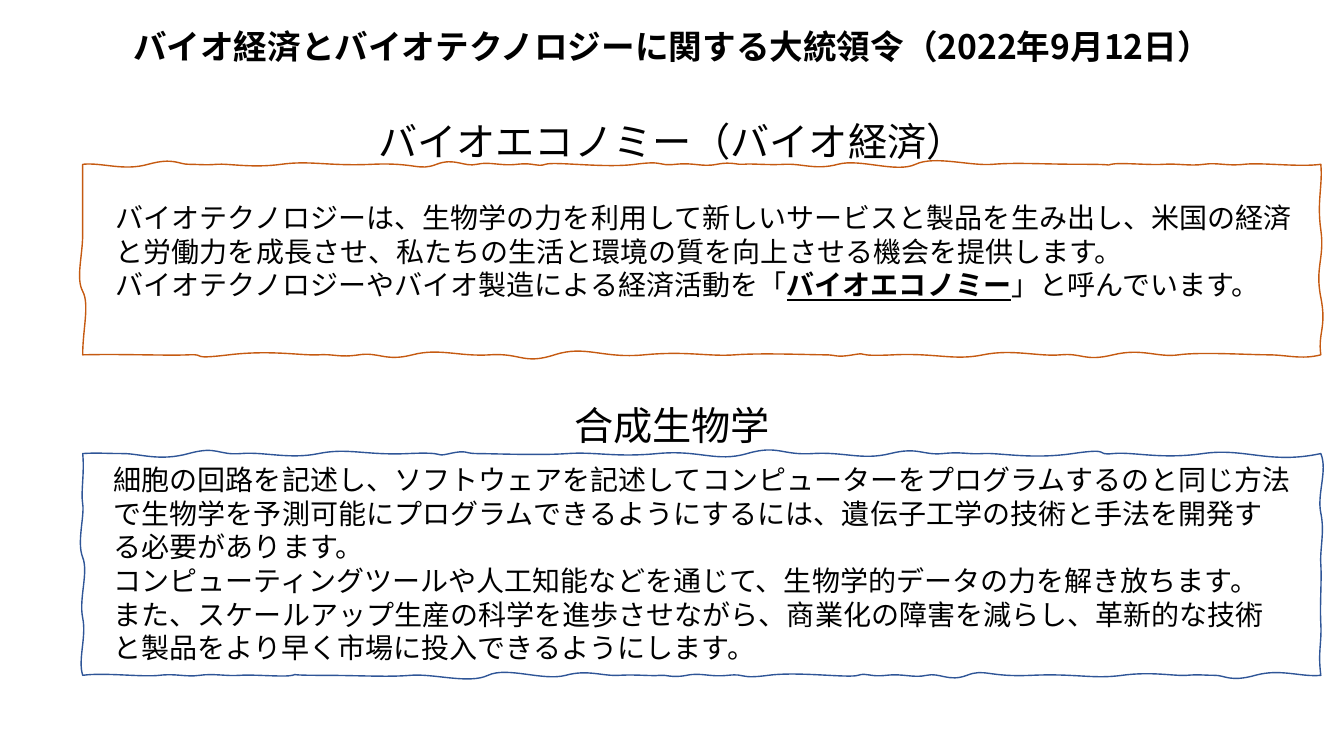
import lxml.etree
import pptx
import pptx.dml.color
import pptx.enum.text
import pptx.oxml.ns
import pptx.util

PX = 9144
SLIDE_SIZE = (1333, 750)
FONT = "Noto Sans CJK JP"
LEFT, RIGHT = 82, 1310

TEXTS = [
    ((103, 454, 1187, 212), 20, False, False, [
        ["細胞の回路を記述し、ソフトウェアを記述してコンピューターをプログラムするのと同じ方法で生物学を予測可能にプログラムできるようにするには、遺伝子工学の技術と手法を開発する必要があります。"],
        ["コンピューティングツールや人工知能などを通じて、生物学的データの力を解き放ちます。"],
        ["また、スケールアップ生産の科学を進歩させながら、商業化の障害を減らし、革新的な技術と製品をより早く市場に投入できるようにします。"],
    ]),
    ((105, 194, 1188, 111), 20, False, False, [
        ["バイオテクノロジーは、生物学の力を利用して新しいサービスと製品を生み出し、米国の経済と労働力を成長させ、私たちの生活と環境の質を向上させる機会を提供します。"],
        ["バイオテクノロジーやバイオ製造による経済活動を「", "バイオエコノミー", "」と呼んでいます。"],
    ]),
    ((355, 111, 623, 57), 28, False, True, [["バイオエコノミー（バイオ経済）"]]),
    ((355, 393, 623, 57), 28, False, True, [["合成生物学"]]),
    ((0, 21, 1333, 50), 24, True, True, [["バイオ経済とバイオテクノロジーに関する大統領令（2022年9月12日）"]]),
]
KEY_TERM = "バイオエコノミー"

SHARED_HANDLE = (102, -2)
SHARED_WAVES = [
    (122, 7, 147), (177, 0, 187), (204, 1, 215), (250, 4, 279), (325, 2, 369),
    (415, 7, 433), (460, 3, 473), (496, 2, 513), (532, 3, 541), (600, 4, 630),
    (651, 2, 670), (696, 3, 711), (732, 1, 738), (761, 1, 778), (809, 6, 831),
    (889, 9, 908), (962, 2, 985), (1035, 0, 1074), (1094, 2, 1102),
    (1140, 1, 1154), (1180, 2, 1194), (1217, 2, 1234), (1289, 3, 1310),
]
TURNED_HANDLE = (LEFT + RIGHT - SHARED_HANDLE[0], -SHARED_HANDLE[1])
TURNED_WAVES = [
    (LEFT + RIGHT - handle, -wobble, LEFT + RIGHT - end)
    for handle, wobble, end in SHARED_WAVES
]
ECONOMY_EDGES = [
    ("x", 163, LEFT, SHARED_HANDLE, SHARED_WAVES),
    ("y", RIGHT, 163, (184, 2), [(200, -4, 228), (265, -6, 295), (330, -3, 352)]),
    ("x", 352, RIGHT, (1291, 5), [
        (1276, 0, 1258), (1190, -3, 1169), (1133, -7, 1104), (1074, -2, 1052),
        (1004, -6, 975), (928, -2, 886), (864, -3, 846), (831, 0, 818),
        (755, -2, 729), (681, -4, 639), (581, -10, 550), (517, -2, 486),
        (436, -7, 409), (376, -3, 356), (332, -1, 316), (269, -5, 227),
        (207, -1, 187), (121, -1, 82),
    ]),
    ("y", LEFT, 352, (327, 0), [(302, 7, 289), (254, 0, 232), (196, 0, 163)]),
]
BIOLOGY_EDGES = [
    ("x", 670, RIGHT, TURNED_HANDLE, TURNED_WAVES),
    ("y", LEFT, 670, (654, -5), [(632, 4, 613), (568, 6, 553), (512, 2, 500), (469, 2, 450)]),
    ("x", 450, LEFT, (96, -1), [
        (105, 0, 122), (158, 8, 187), (216, 2, 239), (287, 6, 316), (363, 2, 405),
        (428, 4, 446), (460, 0, 473), (536, 2, 563), (610, 4, 652), (710, 9, 741),
        (775, 2, 806), (855, 7, 883), (915, 2, 935), (959, 1, 975),
        (1023, 6, 1064), (1084, 2, 1104), (1151, 6, 1193), (1259, 11, 1310),
    ]),
    ("y", RIGHT, 450, (467, 7), [(490, -4, 509), (544, -1, 560), (599, -1, 619), (646, -3, 670)]),
]
FRAMES = [(ECONOMY_EDGES, "C55A11"), (BIOLOGY_EDGES, "2F5597")]


def color(value):
    return pptx.dml.color.RGBColor.from_string(value)


def edge_curves(axis, baseline, start, first_handle, waves):
    curves = []
    leave, rise = first_handle
    for arrive, wobble, end in waves:
        curve = [(leave, baseline + rise), (arrive, baseline + wobble), (end, baseline)]
        curves.append(curve if axis == "x" else [(x, y) for y, x in curve])
        leave, rise = 2 * end - arrive, -wobble
    return curves


def add_frame(slide, edges, line_color):
    curves = [curve for edge in edges for curve in edge_curves(*edge)]
    ends = [curve[-1] for curve in curves]
    builder = slide.shapes.build_freeform(*ends[-1], scale=PX)
    builder.add_line_segments(ends, close=True)
    frame = builder.convert_to_shape()
    left = min(x for x, y in ends)
    top = min(y for x, y in ends)
    qn = pptx.oxml.ns.qn
    segments = list(frame._element.iter(qn("a:lnTo")))
    for segment, curve in zip(segments, curves):
        bend = lxml.etree.Element(qn("a:cubicBezTo"))
        for x, y in curve:
            lxml.etree.SubElement(bend, qn("a:pt"), x=str(x - left), y=str(y - top))
        segment.getparent().replace(segment, bend)
    frame.shadow.inherit = False
    frame.fill.background()
    frame.line.color.rgb = color(line_color)
    frame.line.width = pptx.util.Pt(1)


def add_text(slide, place, size, bold, centred, paragraphs):
    box = slide.shapes.add_textbox(*(value * PX for value in place))
    frame = box.text_frame
    frame.word_wrap = True
    frame.auto_size = pptx.enum.text.MSO_AUTO_SIZE.SHAPE_TO_FIT_TEXT
    for index, spans in enumerate(paragraphs):
        para = frame.add_paragraph() if index else frame.paragraphs[0]
        if centred:
            para.alignment = pptx.enum.text.PP_ALIGN.CENTER
        for text in spans:
            span = para.add_run()
            span.text = text
            font = span.font
            font.size = pptx.util.Pt(size)
            font.bold = bold or text == KEY_TERM
            font.underline = text == KEY_TERM
            font.color.rgb = color("000000")
            font.name = FONT
            east_asian = lxml.etree.SubElement(
                span._r.get_or_add_rPr(), pptx.oxml.ns.qn("a:ea"))
            east_asian.set("typeface", FONT)


def main():
    deck = pptx.Presentation()
    deck.slide_width, deck.slide_height = (value * PX for value in SLIDE_SIZE)
    page = deck.slides.add_slide(deck.slide_layouts[6])
    for text in TEXTS:
        add_text(page, *text)
    for edges, line_color in FRAMES:
        add_frame(page, edges, line_color)
    deck.save("out.pptx")


if __name__ == "__main__":
    main()
